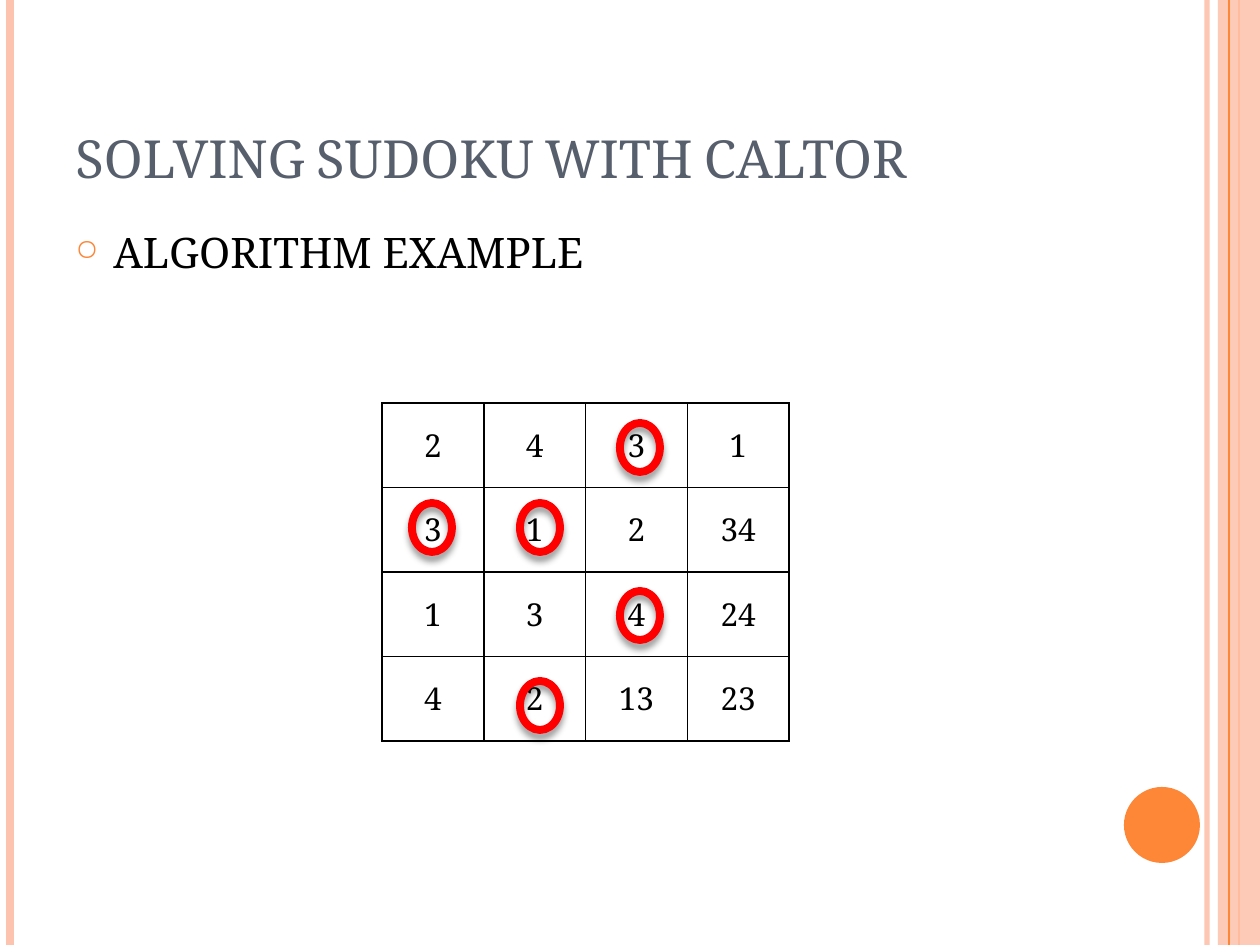
import pptx
import pptx.util
import pptx.dml.color
import pptx.enum.shapes
import pptx.enum.text
import pptx.oxml
import pptx.oxml.ns

PX = 914400 / 126
FONT = "Noto Serif"
HUE = {"peach": "FEC3AE", "orange": "FE8637", "slate": "575F6D",
       "black": "000000", "red": "FF0000"}
NS = pptx.oxml.ns.nsdecls("a")
KIND = pptx.enum.shapes.MSO_SHAPE

TITLE = "SOLVING SUDOKU WITH CALTOR"
POINT = "ALGORITHM EXAMPLE"
GRID = [["2", "4", "3", "1"],
        ["3", "1", "2", "34"],
        ["1", "3", "4", "24"],
        ["4", "2", "13", "23"]]

# x, colour, width in points, opacity in percent
RULES_BACK = [(1207, "peach", 3, 93), (10, "peach", 4.5, 100),
              (1239, "orange", 1.5, 100)]
RULES_FRONT = [(1229, "orange", 0.75, 100)]
BAND = (1218, 0, 42, 945)
DOT = (1124, 787, 76, 76)
HEAD = (63, 38, 1029, 157)
BODY = (63, 220, 1029, 672)
TABLE = (382, 403, 407, 338)
RING = (40, 49)
RINGS = [(412, 503), (620, 423), (520, 503), (620, 591), (520, 681)]


def emu(px):
    return pptx.util.Emu(round(px * PX))


def rgb(name):
    return pptx.dml.color.RGBColor.from_string(HUE[name])


def fade(node, pct):
    """Set the opacity of the colour inside node."""
    clr = node.find(".//" + pptx.oxml.ns.qn("a:srgbClr"))
    clr.append(pptx.oxml.parse_xml(f'<a:alpha {NS} val="{pct * 1000}"/>'))


def rule(x, hue, width, pct):
    line = slide.shapes.add_connector(
        pptx.enum.shapes.MSO_CONNECTOR.STRAIGHT, emu(x), 0, emu(x), emu(945))
    line.line.color.rgb = rgb(hue)
    line.line.width = pptx.util.Pt(width)
    props = line.element.spPr
    if pct < 100:
        fade(props, pct)
    props.append(pptx.oxml.parse_xml(f"<a:effectLst {NS}/>"))


def shape(kind, box, fill=None):
    item = slide.shapes.add_shape(kind, *map(emu, box))
    item.shadow.inherit = False
    item.line.fill.background()
    if fill:
        item.fill.solid()
        item.fill.fore_color.rgb = rgb(fill)
    else:
        item.fill.background()
    return item


def ring(x, y):
    item = shape(KIND.OVAL, (x, y, *RING))
    item.line.color.rgb = rgb("red")
    item.line.width = pptx.util.Pt(4.5)
    glow = item.element.spPr.find(pptx.oxml.ns.qn("a:effectLst"))
    glow.append(pptx.oxml.parse_xml(
        f'<a:outerShdw {NS} blurRad="50800" dist="38100" dir="5400000" '
        'rotWithShape="0"><a:srgbClr val="000000"><a:alpha val="40000"/>'
        '</a:srgbClr></a:outerShdw>'))


def write(para, text, size, hue):
    run = para.add_run()
    run.text = text
    run.font.name = FONT
    run.font.size = pptx.util.Pt(size)
    run.font.color.rgb = rgb(hue)
    return run


def textbox(box, anchor):
    frame = slide.shapes.add_textbox(*map(emu, box)).text_frame
    frame.word_wrap = True
    frame.vertical_anchor = anchor
    return frame.paragraphs[0]


def bullet(para, indent):
    props = para._p.get_or_add_pPr()
    props.set("marL", str(emu(indent)))
    props.set("indent", str(-emu(indent)))
    for xml in (f'<a:buClr {NS}><a:srgbClr val="{HUE["orange"]}"/></a:buClr>',
                f'<a:buSzPct {NS} val="70000"/>',
                f'<a:buChar {NS} char="○"/>'):
        props.append(pptx.oxml.parse_xml(xml))


def border(cell):
    props = cell._tc.get_or_add_tcPr()
    for side in ("lnL", "lnR", "lnT", "lnB"):
        props.append(pptx.oxml.parse_xml(
            f'<a:{side} {NS} w="12700"><a:solidFill>'
            f'<a:srgbClr val="{HUE["black"]}"/></a:solidFill></a:{side}>'))


def sudoku():
    rows, cols = len(GRID), len(GRID[0])
    table = slide.shapes.add_table(rows, cols, *map(emu, TABLE)).table
    table.first_row = table.horz_banding = False
    for r, line in enumerate(GRID):
        for c, text in enumerate(line):
            cell = table.cell(r, c)
            border(cell)
            cell.fill.background()
            cell.vertical_anchor = pptx.enum.text.MSO_ANCHOR.MIDDLE
            para = cell.text_frame.paragraphs[0]
            para.alignment = pptx.enum.text.PP_ALIGN.CENTER
            write(para, text, 18, "black")


deck = pptx.Presentation()
deck.slide_width, deck.slide_height = emu(1260), emu(945)
slide = deck.slides.add_slide(deck.slide_layouts[6])

for row in RULES_BACK:
    rule(*row)
fade(shape(KIND.RECTANGLE, BAND, "peach").element.spPr, 87)
for row in RULES_FRONT:
    rule(*row)
shape(KIND.OVAL, DOT, "orange")

head = textbox(HEAD, pptx.enum.text.MSO_ANCHOR.BOTTOM)
write(head, TITLE, 30, "slate").font._element.set("cap", "small")
body = textbox(BODY, pptx.enum.text.MSO_ANCHOR.TOP)
body.space_before = pptx.util.Pt(6)
bullet(body, 38)
write(body, POINT, 24, "black")

sudoku()
for spot in RINGS:
    ring(*spot)

deck.save("out.pptx")
